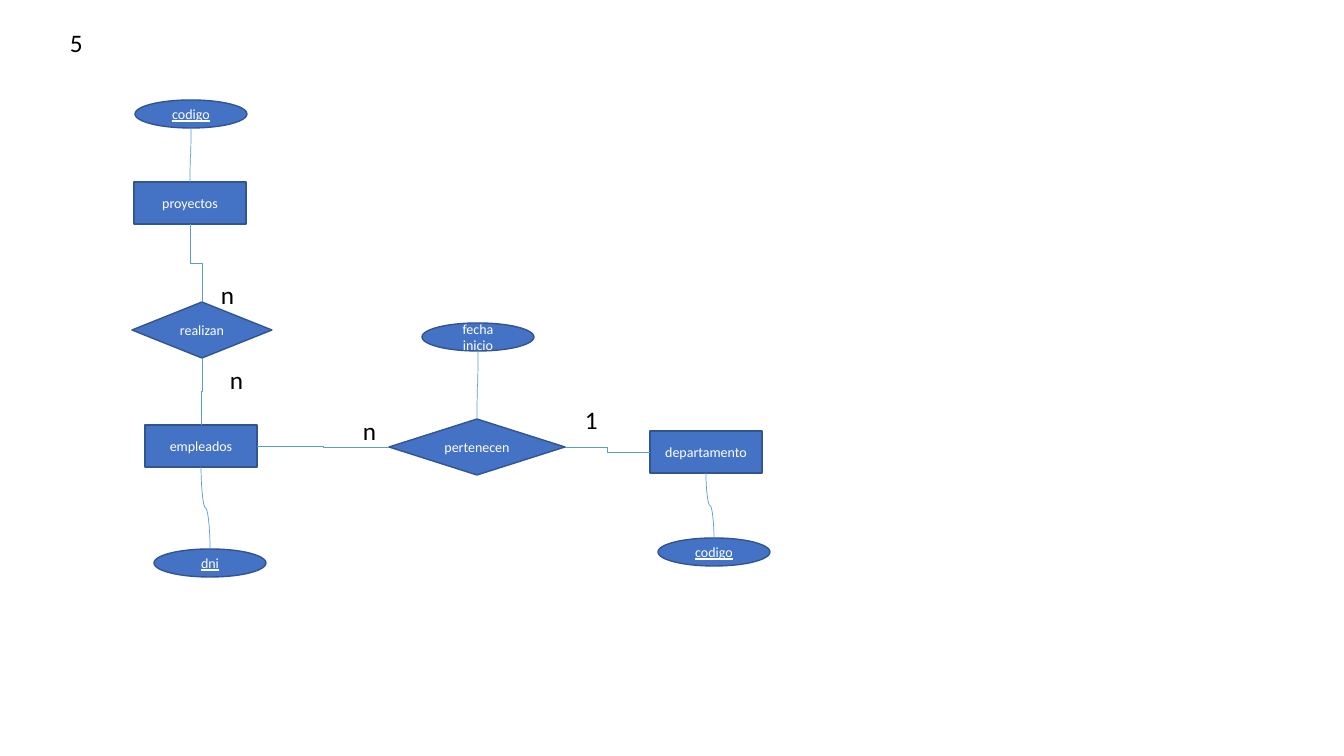
"""Builds an entity-relationship diagram of projects, employees and departments."""
from lxml import etree
from pptx import Presentation
from pptx.dml.color import RGBColor
from pptx.enum.shapes import MSO_CONNECTOR, MSO_SHAPE
from pptx.enum.text import MSO_ANCHOR, PP_ALIGN
from pptx.oxml.ns import qn
from pptx.util import Emu, Pt

ENTITY, ATTRIBUTE, RELATION = MSO_SHAPE.RECTANGLE, MSO_SHAPE.OVAL, MSO_SHAPE.DIAMOND
CURVE, ELBOW = MSO_CONNECTOR.CURVE, MSO_CONNECTOR.ELBOW
MIDDLE, CENTER = MSO_ANCHOR.MIDDLE, PP_ALIGN.CENTER
BLUE = RGBColor(0x44, 0x72, 0xC4)
OUTLINE = RGBColor(0x32, 0x54, 0x91)
LINK_BLUE = RGBColor(0x5B, 0x9B, 0xD5)
WHITE = RGBColor(0xFF, 0xFF, 0xFF)
BLACK = RGBColor(0, 0, 0)
FONT = "Calibri"
EMU_PER_PX = 914400 / 100.8
PAGE_WIDTH, PAGE_HEIGHT = 1344, 756
ENTITY_SIZE, ATTRIBUTE_SIZE = (112, 42), (112, 28)

NODES = {
    "project": ("proyectos", ENTITY, (134, 182), ENTITY_SIZE, False),
    "project code": ("codigo", ATTRIBUTE, (135, 100), ATTRIBUTE_SIZE, True),
    "employee": ("empleados", ENTITY, (145, 425), ENTITY_SIZE, False),
    "employee id": ("dni", ATTRIBUTE, (154, 549), ATTRIBUTE_SIZE, True),
    "department code": ("codigo", ATTRIBUTE, (658, 538), ATTRIBUTE_SIZE, True),
    "department": ("departamento", ENTITY, (650, 431), ENTITY_SIZE, False),
    "carry out": ("realizan", RELATION, (132, 302), (140, 56), False),
    "belong": ("pertenecen", RELATION, (389, 419), (176, 56), False),
    "start date": ("fecha inicio", ATTRIBUTE, (422, 323), ATTRIBUTE_SIZE, False),
}
DOWN_LINKS = [
    ("project code", "project", CURVE),
    ("employee", "employee id", CURVE),
    ("department", "department code", CURVE),
    ("project", "carry out", ELBOW),
    ("carry out", "employee", ELBOW),
    ("start date", "belong", CURVE),
]
ACROSS_LINKS = [("belong", "department"), ("employee", "belong")]
LABELS = [
    ("5", 60, 22, 50),
    ("n", 211, 274, 28),
    ("n", 220, 359, 28),
    ("1", 575, 399, 39),
    ("n", 353, 410, 27),
]
LABEL_HEIGHT = 40


def px(length):
    return Emu(round(length * EMU_PER_PX))


def style_text(para, size, color):
    para.font.name, para.font.size = FONT, Pt(size)
    para.font.color.rgb = color


def add_node(page, text, kind, corner, size, is_key):
    node = page.shapes.add_shape(kind, *map(px, corner + size))
    node.shadow.inherit = False
    node.fill.solid()
    node.fill.fore_color.rgb = BLUE
    node.line.color.rgb = OUTLINE
    node.line.width = Pt(1)
    node.text_frame.word_wrap = True
    node.text_frame.vertical_anchor = MIDDLE
    para = node.text_frame.paragraphs[0]
    para.text, para.alignment = text, CENTER
    para.font.underline = is_key
    style_text(para, 10, WHITE)


def add_link(page, kind, start, end):
    link = page.shapes.add_connector(kind, *map(px, start + end))
    link.line.color.rgb = LINK_BLUE
    link.line.width = Pt(0.5)
    properties = link._element.spPr
    etree.SubElement(properties, qn("a:effectLst"))
    return properties.find(qn("a:xfrm"))


def add_down_link(page, upper, lower, kind):
    _, _, (left, top), (width, height), _ = NODES[upper]
    _, _, (end_left, end_y), (end_width, _), _ = NODES[lower]
    x, y, end_x = left + width / 2, top + height, end_left + end_width / 2
    half_run, half_drop = (end_x - x) / 2, (end_y - y) / 2
    middle_x, middle_y = (x + end_x) / 2, (y + end_y) / 2
    side, turn = (1, 270) if half_run > 0 else (-1, 90)
    start = (middle_x + side * half_drop, middle_y - side * half_run)
    end = (middle_x - side * half_drop, middle_y + side * half_run)
    frame = add_link(page, kind, start, end)
    frame.set("rot", str(turn * 60000))


def add_across_link(page, before, after):
    _, _, (left, top), (width, height), _ = NODES[before]
    _, _, (end_x, end_top), (_, end_height), _ = NODES[after]
    start = (left + width, top + height / 2)
    add_link(page, ELBOW, start, (end_x, end_top + end_height / 2))


def add_label(page, text, left, top, width):
    box = page.shapes.add_textbox(*map(px, (left, top, width, LABEL_HEIGHT)))
    box.text_frame.word_wrap = True
    para = box.text_frame.paragraphs[0]
    para.text = text
    style_text(para, 18, BLACK)


def main():
    deck = Presentation()
    deck.slide_width, deck.slide_height = px(PAGE_WIDTH), px(PAGE_HEIGHT)
    page = deck.slides.add_slide(deck.slide_layouts[6])
    for node in NODES.values():
        add_node(page, *node)
    for link in DOWN_LINKS:
        add_down_link(page, *link)
    for link in ACROSS_LINKS:
        add_across_link(page, *link)
    for label in LABELS:
        add_label(page, *label)
    deck.save("out.pptx")


if __name__ == "__main__":
    main()
